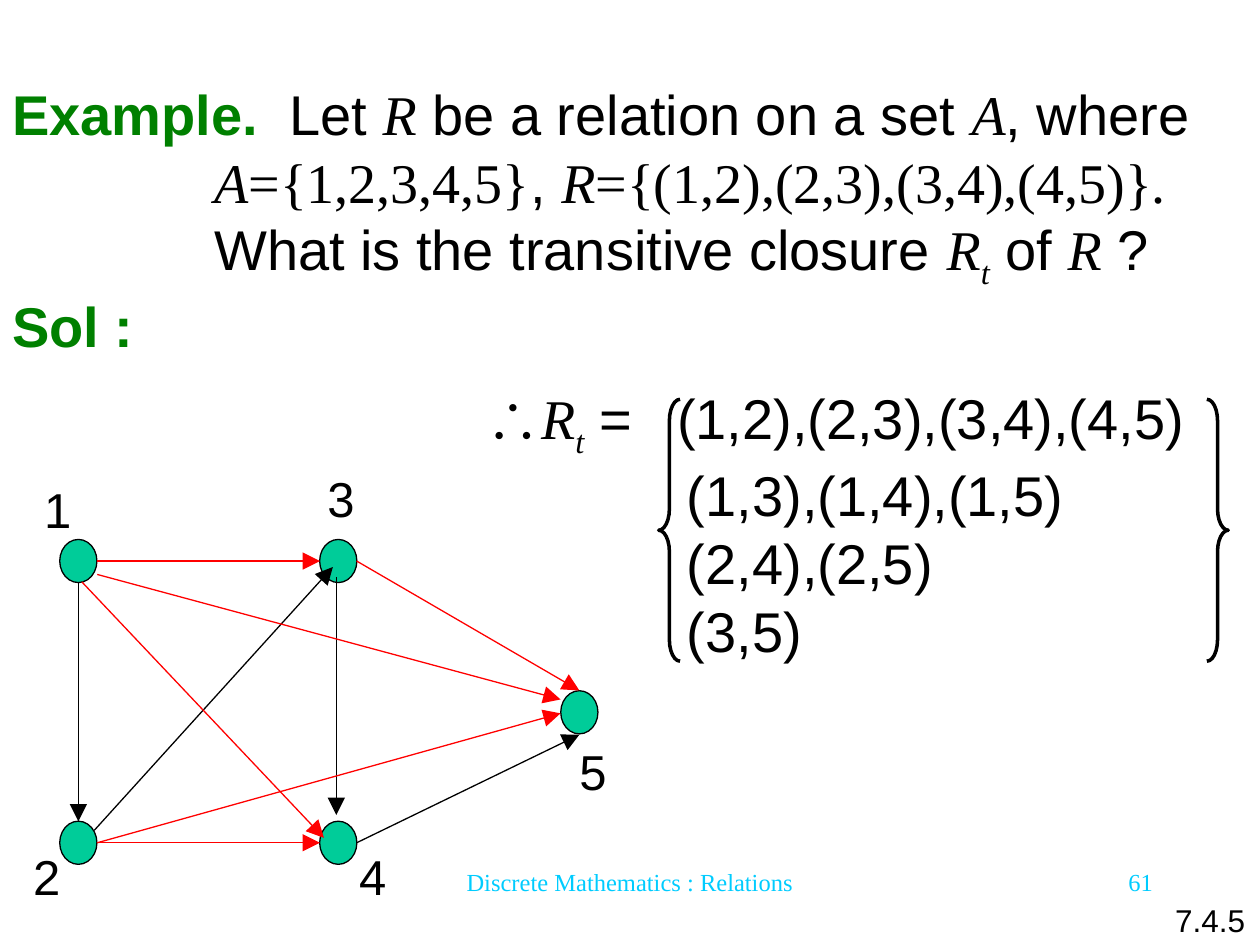
"""Build a slide that works out the transitive closure of a relation."""
import dataclasses

import lxml.etree
import pptx
import pptx.dml.color
import pptx.enum.shapes
import pptx.enum.text
import pptx.oxml.ns
import pptx.util

Cm, Pt = pptx.util.Cm, pptx.util.Pt
RGB = pptx.dml.color.RGBColor.from_string
ALIGN = pptx.enum.text.PP_ALIGN
SHAPE = pptx.enum.shapes.MSO_SHAPE


@dataclasses.dataclass(frozen=True)
class Theme:
    ink: str = "000000"
    heading: str = "008000"
    node: str = "00CC99"
    derived: str = "FF0000"
    footer: str = "00CCFF"
    sans: str = "Arial"
    serif: str = "Times New Roman"
    body_size: int = 32
    label_size: int = 28
    section_size: int = 18
    footer_size: int = 14
    pitch: float = 1.21
    subscript_depth: float = 4.8
    thin: float = 0.75
    thick: float = 2


class RelationSlide:
    def __init__(self, slide, theme):
        self.shapes = slide.shapes
        self.theme = theme
        self.styles = {
            "plain": (theme.sans, theme.ink, False, False),
            "heading": (theme.sans, theme.heading, True, False),
            "symbol": (theme.serif, theme.ink, False, True),
            "subscript": (theme.serif, theme.ink, False, True),
            "math": (theme.serif, theme.ink, False, False),
            "footer": (theme.serif, theme.footer, False, False),
        }

    def format_run(self, run, style, size):
        font = run.font
        font.name, color, font.bold, font.italic = self.styles[style]
        font.size = Pt(size)
        font.color.rgb = RGB(color)
        if style == "subscript":
            run._r.get_or_add_rPr().set("baseline", "-25000")

    def add_tab(self, paragraph, position):
        tabs = lxml.etree.SubElement(
            paragraph._p.get_or_add_pPr(), pptx.oxml.ns.qn("a:tabLst"))
        lxml.etree.SubElement(tabs, pptx.oxml.ns.qn("a:tab"),
                              pos=str(int(Cm(position))), algn="l")

    def text_frame(self, left, top, width, height, wrap):
        box = self.shapes.add_textbox(Cm(left), Cm(top), Cm(width), Cm(height))
        box.text_frame.word_wrap = wrap
        return box.text_frame

    def label(self, text, left, top, width, height, size,
              style="plain", align=ALIGN.LEFT, wrap=False):
        frame = self.text_frame(left, top, width, height, wrap)
        frame.text = text
        paragraph = frame.paragraphs[0]
        paragraph.alignment = align
        if style == "plain":
            paragraph.line_spacing = Pt(size * self.theme.pitch)
        self.format_run(paragraph.runs[0], style, size)

    def passage(self, left, top, width, height, tab, lines):
        size = self.theme.body_size
        frame = self.text_frame(left, top, width, height, True)
        for index, (indent, pieces) in enumerate(lines):
            paragraph = frame.add_paragraph() if index else frame.paragraphs[0]
            subscripted = any(style == "subscript" for _, style in pieces)
            depth = self.theme.subscript_depth if subscripted else 0
            paragraph.line_spacing = Pt(size * self.theme.pitch + depth)
            if indent:
                paragraph._p.get_or_add_pPr().set("marL", str(int(Cm(indent))))
            if any("\t" in text for text, _ in pieces):
                self.add_tab(paragraph, tab)
            for text, style in pieces:
                run = paragraph.add_run()
                run.text = text
                self.format_run(run, style, size)

    def node(self, center_x, center_y, width=0.75, height=0.87):
        oval = self.shapes.add_shape(
            SHAPE.OVAL, Cm(center_x - width / 2), Cm(center_y - height / 2),
            Cm(width), Cm(height))
        oval.shadow.inherit = False
        oval.fill.solid()
        oval.fill.fore_color.rgb = RGB(self.theme.node)
        oval.line.color.rgb = RGB(self.theme.ink)
        oval.line.width = Pt(self.theme.thin)

    def arrow(self, color, start, end):
        edge = self.shapes.add_connector(
            pptx.enum.shapes.MSO_CONNECTOR.STRAIGHT,
            *(Cm(value) for value in (*start, *end)))
        edge.line.color.rgb = RGB(color)
        edge.line.width = Pt(self.theme.thin)
        lxml.etree.SubElement(edge.line._get_or_add_ln(),
                              pptx.oxml.ns.qn("a:tailEnd"),
                              type="triangle", w="lg", len="lg")
        lxml.etree.SubElement(edge._element.spPr,
                              pptx.oxml.ns.qn("a:effectLst"))

    def brace(self, kind, left, top, width, height):
        brace = self.shapes.add_shape(kind, Cm(left), Cm(top), Cm(width), Cm(height))
        brace.adjustments[0] = 1.0
        brace.shadow.inherit = False
        brace.fill.background()
        brace.line.color.rgb = RGB(self.theme.ink)
        brace.line.width = Pt(self.theme.thick)


def main():
    theme = Theme()
    presentation = pptx.Presentation()
    presentation.slide_width, presentation.slide_height = Cm(25.4), Cm(19.05)
    page = RelationSlide(
        presentation.slides.add_slide(presentation.slide_layouts[6]), theme)

    page.label("Discrete Mathematics : Relations", 7.2, 17.36, 11, 1.27,
               theme.footer_size, "footer", ALIGN.CENTER, True)
    page.label("61", 18.2, 17.36, 5.29, 1.27,
               theme.footer_size, "footer", ALIGN.RIGHT, True)

    indent = 4.07
    page.passage(0, 1.47, 25.4, 5.87, 5.58, [
        (0, [("Example.", "heading"), ("\tLet ", "plain"), ("R", "symbol"),
             (" be a relation on a set ", "plain"), ("A", "symbol"),
             (", where", "plain")]),
        (indent, [("A", "symbol"), ("={1,2,3,4,5}", "math"), (", ", "plain"),
                  ("R", "symbol"), ("={(1,2),(2,3),(3,4),(4,5)}.", "math")]),
        (indent, [("What is the transitive closure ", "plain"), ("R", "symbol"),
                  ("t", "subscript"), (" of ", "plain"), ("R", "symbol"),
                  (" ?", "plain")]),
        (0, [("Sol :", "heading")]),
    ])

    left, middle, right = 1.58, 6.82, 11.68
    upper, center, lower = 11.31, 14.36, 16.99
    vertices = {
        "1": ((left, upper), (0.64, 9.53)),
        "2": ((left, lower), (0.42, 16.93)),
        "3": ((middle, upper), (6.35, 9.31)),
        "4": ((middle, lower), (6.99, 16.93)),
        "5": ((right, center), (11.43, 14.82)),
    }
    for place, _ in vertices.values():
        page.node(*place)

    given_edges = [
        ((left, 11.75), (left, 16.56)),
        ((1.9, 16.74), (6.71, 11.43)),
        ((6.78, 11.63), (6.78, 16.43)),
        ((7.19, lower), (right, 14.81)),
    ]
    derived_edges = [
        ((1.96, upper), (6.45, upper)),
        ((1.96, lower), (6.45, lower)),
        ((1.65, 11.73), (6.53, 16.89)),
        ((1.96, 11.58), (11.3, 14.1)),
        ((1.96, lower), (11.3, 14.38)),
        ((7.19, upper), (right, 13.92)),
    ]
    for color, edges in ((theme.ink, given_edges), (theme.derived, derived_edges)):
        for start, end in edges:
            page.arrow(color, start, end)
    for number, (_, corner) in vertices.items():
        page.label(number, *corner, 1.04, 1.45, theme.label_size)

    derived_pairs = ("(1,3),(1,4),(1,5)", "(2,4),(2,5)", "(3,5)")
    page.passage(9.53, 7.62, 15.04, 5.87, 3.87, [
        (0, [("∴", "plain"), ("R", "symbol"), ("t", "subscript"),
             (" =\t(1,2),(2,3),(3,4),(4,5)", "plain")]),
        *((indent, [(pairs, "plain")]) for pairs in derived_pairs),
    ])
    for kind, brace_left in ((SHAPE.LEFT_BRACE, 13.28), (SHAPE.RIGHT_BRACE, 24.33)):
        page.brace(kind, brace_left, 8.05, 0.43, 5.28)
    page.label("7.4.5", 23.44, 18.03, 1.96, 1.02, theme.section_size)

    presentation.save("out.pptx")


if __name__ == "__main__":
    main()
